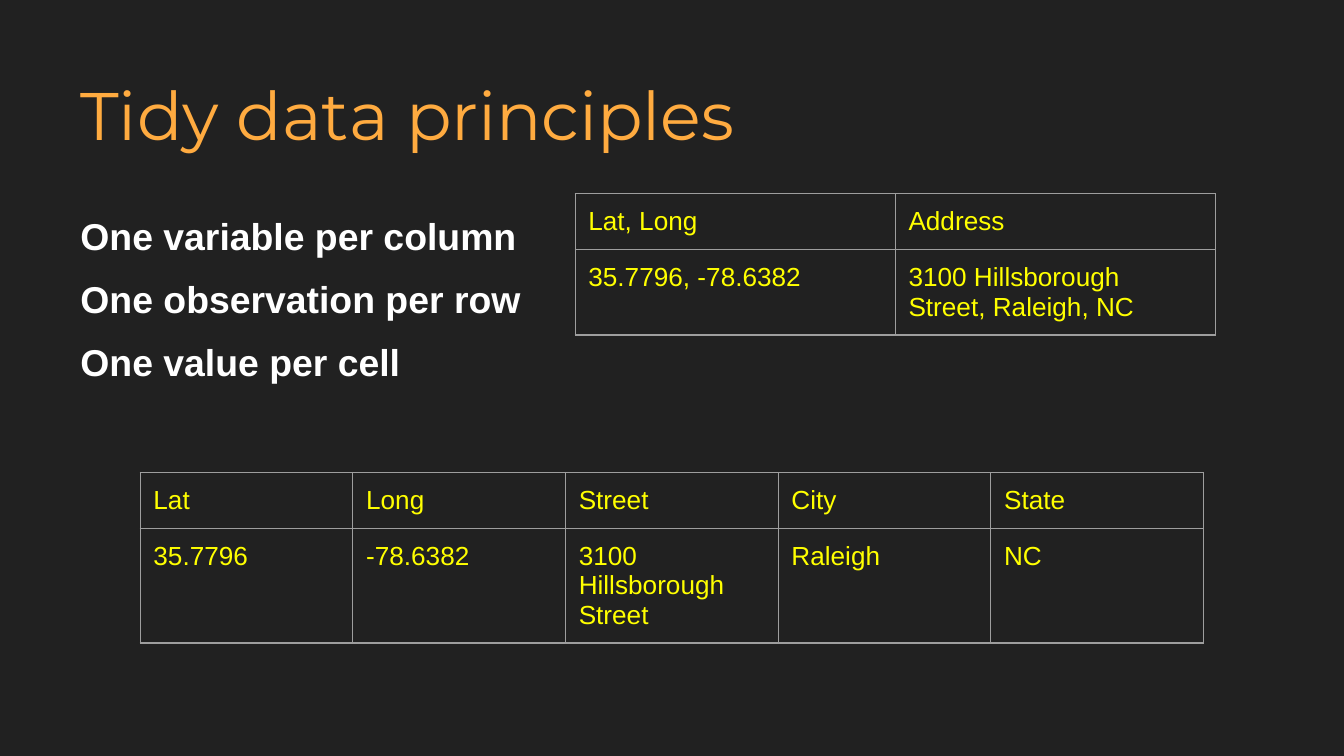
"""Build a slide on tidy data principles with two example tables."""
import dataclasses

import lxml.etree
import pptx
import pptx.dml.color
import pptx.enum.text
import pptx.oxml.ns
import pptx.slide
import pptx.text.text
import pptx.util

Cm = pptx.util.Cm
Pt = pptx.util.Pt
COLORS = {"back": "212121", "title": "FFAB40", "list": "FFFFFF", "cell": "FFFF00", "rule": "9E9E9E"}
PAD = Cm(0.25)
ROW = Cm(1.06)


@dataclasses.dataclass
class Box:
    left: float
    top: float
    width: float
    height: float


@dataclasses.dataclass
class Grid:
    left: float
    top: float
    column: float
    rows: list[list[str]]


GRIDS = [
    Grid(10.87, 3.66, 6.05, [
        ["Lat, Long", "Address"],
        ["35.7796, -78.6382", "3100 Hillsborough Street, Raleigh, NC"],
    ]),
    Grid(2.65, 8.93, 4.02, [
        ["Lat", "Long", "Street", "City", "State"],
        ["35.7796", "-78.6382", "3100 Hillsborough Street", "Raleigh", "NC"],
    ]),
]
RULES = ["One variable per column", "One observation per row", "One value per cell"]


def tint(name: str) -> pptx.dml.color.RGBColor:
    return pptx.dml.color.RGBColor.from_string(COLORS[name])


def style(line, face: str, size: float, color: str, bold: bool = False) -> None:
    line.alignment = pptx.enum.text.PP_ALIGN.LEFT
    line.font.name = face
    line.font.size = Pt(size)
    line.font.bold = bold
    line.font.color.rgb = tint(color)


def pad(part) -> None:
    part.margin_left = part.margin_right = PAD
    part.margin_top = part.margin_bottom = PAD


def place(shape, box: Box, anchor) -> pptx.text.text.TextFrame:
    shape.left, shape.top = Cm(box.left), Cm(box.top)
    shape.width, shape.height = Cm(box.width), Cm(box.height)
    frame = shape.text_frame
    frame.word_wrap = True
    frame.auto_size = pptx.enum.text.MSO_AUTO_SIZE.NONE
    frame.vertical_anchor = anchor
    pad(frame)
    return frame


def edge(cell) -> None:
    props = cell._tc.get_or_add_tcPr()
    qn = pptx.oxml.ns.qn
    for index, side in enumerate(("a:lnL", "a:lnR", "a:lnT", "a:lnB")):
        line = lxml.etree.Element(qn(side), w=str(Pt(0.75)))
        fill = lxml.etree.SubElement(line, qn("a:solidFill"))
        lxml.etree.SubElement(fill, qn("a:srgbClr"), val=COLORS["rule"])
        props.insert(index, line)


def draw_grid(slide: pptx.slide.Slide, grid: Grid) -> None:
    rows, cols = len(grid.rows), len(grid.rows[0])
    table = slide.shapes.add_table(
        rows, cols, Cm(grid.left), Cm(grid.top), Cm(grid.column) * cols, ROW * rows
    ).table
    table.first_row = table.horz_banding = False
    for y, row in enumerate(grid.rows):
        for x, text in enumerate(row):
            cell = table.cell(y, x)
            cell.text = text
            cell.fill.background()
            pad(cell)
            edge(cell)
            style(cell.text_frame.paragraphs[0], "Arial", 14, "cell")


def draw_list(frame: pptx.text.text.TextFrame) -> None:
    frame.text = "\n".join(RULES)
    for index, line in enumerate(frame.paragraphs):
        props = line._p.get_or_add_pPr()
        props.set("marL", "0")
        props.set("indent", "0")
        lxml.etree.SubElement(props, pptx.oxml.ns.qn("a:buNone"))
        line.line_spacing = 1.15
        line.space_before = Pt(6 if index else 0)
        style(line, "Arial", 20, "list", True)


def main() -> None:
    deck = pptx.Presentation()
    deck.slide_width, deck.slide_height = Cm(25.4), Cm(14.29)
    slide = deck.slides.add_slide(deck.slide_layouts[1])
    slide.background.fill.solid()
    slide.background.fill.fore_color.rgb = tint("back")
    anchor = pptx.enum.text.MSO_ANCHOR
    title = place(slide.shapes.title, Box(1.27, 0.33, 16.08, 2.84), anchor.BOTTOM)
    title.text = "Tidy data principles"
    style(title.paragraphs[0], "Montserrat", 36, "title")
    draw_list(place(slide.placeholders[1], Box(1.27, 3.66, 9.4, 9.12), anchor.TOP))
    for grid in GRIDS:
        draw_grid(slide, grid)
    deck.save("out.pptx")


if __name__ == "__main__":
    main()
